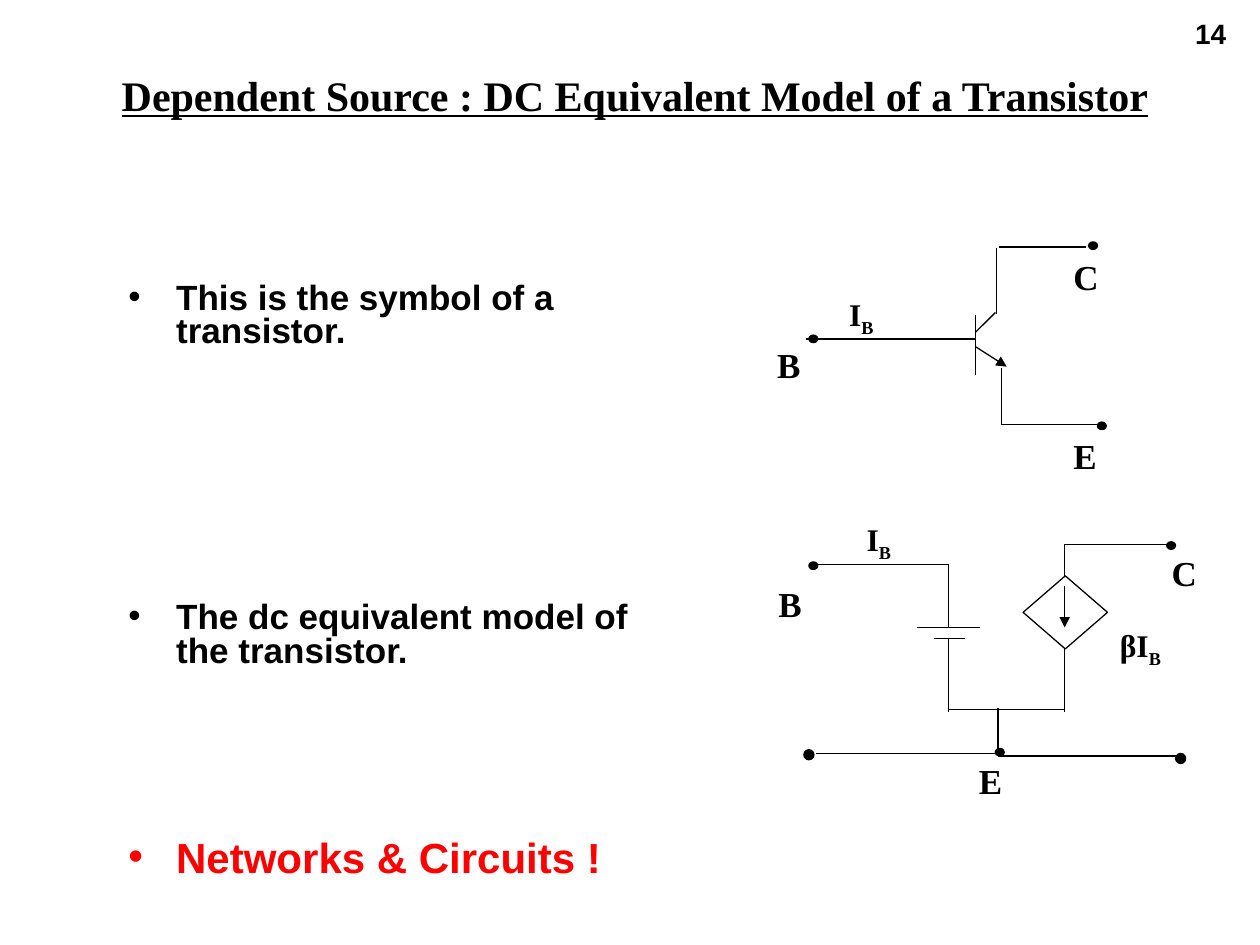
from lxml import etree
from pptx import Presentation
from pptx import util as u
from pptx.dml.color import RGBColor
from pptx.enum import shapes, text
from pptx.oxml.ns import qn

COLORS = {"black": "000000", "red": "FF0000", "white": "FFFFFF"}
SERIF, SANS = "Times New Roman", "Arial"
LINE_WIDTH = u.Pt(0.75)
DOT_W, DOT_H = 0.07, 0.06


def rgb(name):
    return RGBColor.from_string(COLORS[name])


def add_run(p, content, size=20, font=SERIF, color="black", underline=False,
            subscript=False):
    r = p.add_run()
    r.text = content
    r.font.name, r.font.size, r.font.bold = font, u.Pt(size), True
    r.font.color.rgb = rgb(color)
    if underline:
        r.font.underline = True
    if subscript:
        r._r.get_or_add_rPr().set("baseline", "-25000")


def add_frame(s, box, wrap=True, anchor=text.MSO_ANCHOR.TOP):
    tf = s.shapes.add_textbox(*map(u.Inches, box)).text_frame
    tf.word_wrap = wrap
    tf.vertical_anchor = anchor
    return tf


def add_text(s, content, box, align=text.PP_ALIGN.LEFT, wrap=True, sub="",
             anchor=text.MSO_ANCHOR.TOP, **fmt):
    """Add one line of bold text, with an optional subscript after it."""
    tf = add_frame(s, box, wrap, anchor)
    p = tf.paragraphs[0]
    p.alignment = align
    add_run(p, content, **fmt)
    if sub:
        add_run(p, sub, subscript=True, **fmt)
    return tf


def add_label(s, content, x, y, w=0.4, h=0.43, **fmt):
    tf = add_text(s, content, (x, y, w, h), wrap=False, **fmt)
    tf.auto_size = text.MSO_AUTO_SIZE.SHAPE_TO_FIT_TEXT


def add_bullets(s, box, items):
    """Add bullets given as (text, space before in points, format)."""
    tf = add_frame(s, box)
    for i, (content, before, fmt) in enumerate(items):
        p = tf.add_paragraph() if i else tf.paragraphs[0]
        pPr = p._p.get_or_add_pPr()
        pPr.set("marL", str(u.Inches(0.38)))
        pPr.set("indent", str(-u.Inches(0.38)))
        etree.SubElement(pPr, qn("a:buFont")).set("typeface", SANS)
        etree.SubElement(pPr, qn("a:buChar")).set("char", "•")
        p.line_spacing = 0.8
        if before:
            p.space_before = u.Pt(before)
        add_run(p, content, font=SANS, **fmt)


def add_wire(s, x1, y1, x2, y2, arrow=False):
    c = s.shapes.add_connector(shapes.MSO_CONNECTOR.STRAIGHT,
                               *map(u.Inches, (x1, y1, x2, y2)))
    c.line.color.rgb = rgb("black")
    c.line.width = LINE_WIDTH
    if arrow:
        etree.SubElement(c.line._get_or_add_ln(), qn("a:tailEnd")).set("type", "triangle")
    etree.SubElement(c._element.spPr, qn("a:effectLst"))


def add_outline(s, kind, x, y, w, h, fill=None):
    sp = s.shapes.add_shape(kind, *map(u.Inches, (x, y, w, h)))
    sp.shadow.inherit = False
    sp.line.color.rgb = rgb("black")
    sp.line.width = LINE_WIDTH
    if fill:
        sp.fill.solid()
        sp.fill.fore_color.rgb = rgb(fill)
    else:
        sp.fill.background()


def add_terminal(s, x, y, w=DOT_W, h=DOT_H):
    add_outline(s, shapes.MSO_SHAPE.OVAL, x, y, w, h, fill="black")


def draw_transistor(s):
    base, emitter, collector = 7.74, 7.95, 7.91
    for wire in ((emitter, 2.92, emitter, 3.37), (collector, 2.49, collector, 1.97),
                 (7.93, 1.96, 8.62, 1.96), (emitter, 3.37, 8.71, 3.37),
                 (base, 2.5, base, 2.98), (base, 2.64, 7.9, 2.48),
                 (6.4, 2.69, base, 2.69)):
        add_wire(s, *wire)
    add_wire(s, base, 2.75, 7.99, 2.91, arrow=True)
    for dot in ((8.64, 1.92), (8.71, 3.35), (6.42, 2.66)):
        add_terminal(s, *dot)
    add_label(s, "I", 6.64, 2.29, h=0.4, sub="B", size=18)
    for name, x, y in (("B", 6.07, 2.68), ("C", 8.42, 1.98), ("E", 8.42, 3.4)):
        add_label(s, name, x, y)


def draw_dc_model(s):
    battery, source, ground = 7.53, 8.45, 7.92
    for wire in ((6.45, 4.48, battery, 4.48), (battery, 4.48, battery, 4.98),
                 (7.28, 4.98, 7.78, 4.98), (7.41, 5.07, 7.66, 5.07),
                 (battery, 5.07, battery, 5.65), (battery, 5.63, source, 5.63),
                 (source, 5.65, source, 5.15), (source, 4.57, source, 4.32),
                 (source, 4.32, 9.28, 4.32), (ground, 5.62, ground, 5.96),
                 (ground, 6, 9.33, 6), (6.48, 5.98, 7.9, 5.98)):
        add_wire(s, *wire)
    add_outline(s, shapes.MSO_SHAPE.DIAMOND, 8.12, 4.57, 0.67, 0.58)
    add_wire(s, source, 4.65, source, 4.98, arrow=True)
    for dot in ((6.42, 4.46), (9.26, 4.3), (7.9, 5.94),
                (9.33, 5.98, 0.08, 0.08), (6.38, 5.95, 0.08, 0.08)):
        add_terminal(s, *dot)
    add_label(s, "I", 6.78, 4.08, h=0.4, sub="B", size=18)
    add_label(s, "βI", 8.79, 4.92, w=0.54, h=0.4, sub="B", size=18)
    for name, x, y in (("B", 6.08, 4.57), ("C", 9.2, 4.33), ("E", 7.67, 5.98)):
        add_label(s, name, x, y)


def main():
    prs = Presentation()
    prs.slide_width, prs.slide_height = u.Inches(10), u.Inches(7.5)
    s = prs.slides.add_slide(prs.slide_layouts[6])
    s.background.fill.solid()
    s.background.fill.fore_color.rgb = rgb("white")
    add_text(s, "14", (7.75, 0.08, 2.08, 0.5), align=text.PP_ALIGN.RIGHT,
             size=16, font=SANS)
    add_text(s, "Dependent Source : DC Equivalent Model of a Transistor",
             (0.58, 0.25, 8.92, 1), align=text.PP_ALIGN.CENTER,
             anchor=text.MSO_ANCHOR.MIDDLE, size=24, underline=True)
    add_bullets(s, (0.92, 2.2, 4.5, 4.8), (
        ("This is the symbol of a transistor.", 0, {}),
        ("The dc equivalent model of the transistor.", 144, {}),
        ("Networks & Circuits !", 98, {"size": 24, "color": "red"})))
    draw_transistor(s)
    draw_dc_model(s)
    prs.save("out.pptx")


if __name__ == "__main__":
    main()
